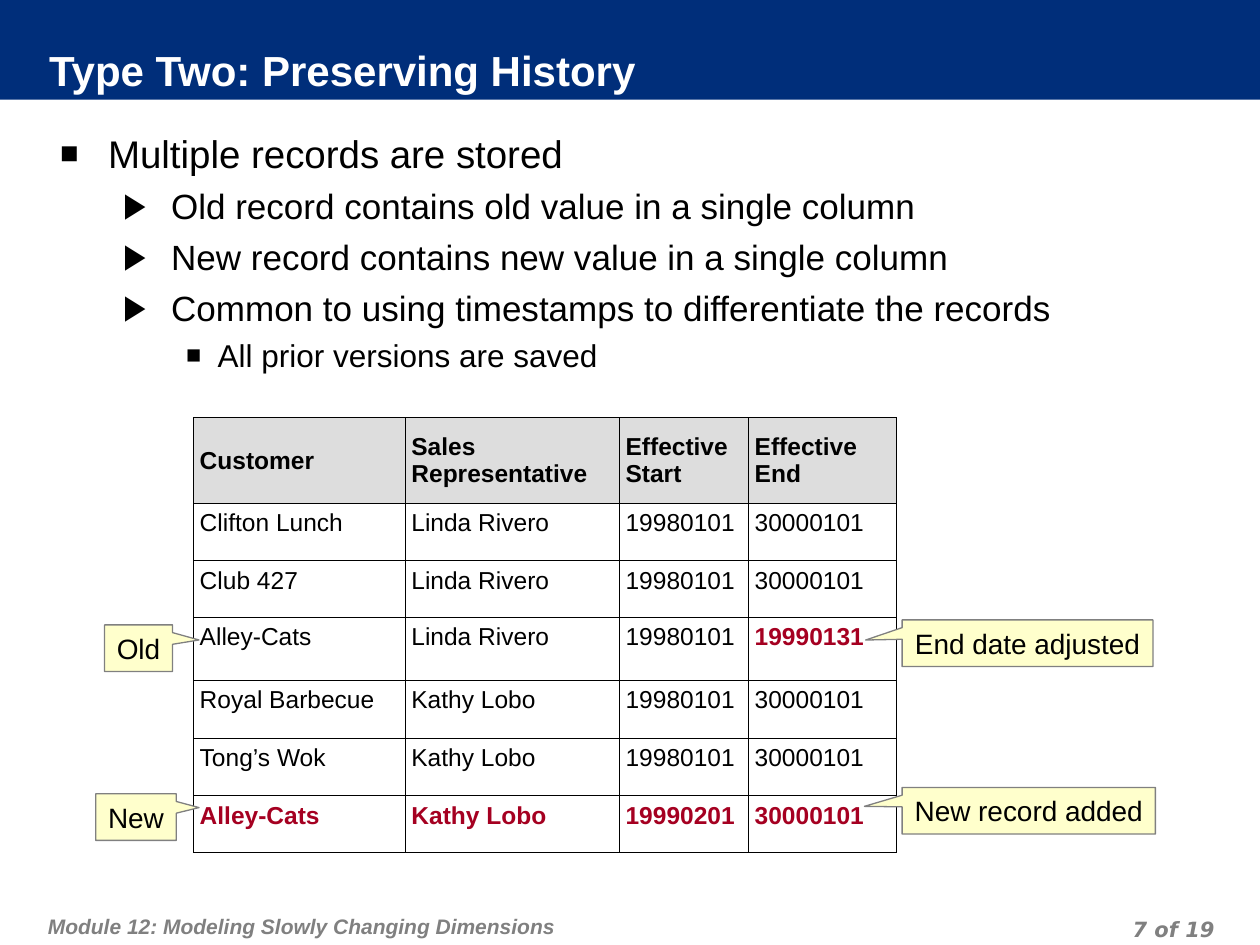
from lxml import etree
from pptx import Presentation
from pptx.dml.color import RGBColor
from pptx.enum.shapes import MSO_SHAPE
from pptx.enum.text import MSO_ANCHOR, MSO_AUTO_SIZE, PP_ALIGN
from pptx.oxml.ns import qn
from pptx.util import Inches, Pt

RECT = MSO_SHAPE.RECTANGLE
CALLOUT = MSO_SHAPE.RECTANGULAR_CALLOUT
TOP, MIDDLE = MSO_ANCHOR.TOP, MSO_ANCHOR.MIDDLE
FIXED, GROW = MSO_AUTO_SIZE.NONE, MSO_AUTO_SIZE.SHAPE_TO_FIT_TEXT
LEFT, CENTER, RIGHT = PP_ALIGN.LEFT, PP_ALIGN.CENTER, PP_ALIGN.RIGHT

COLS, ROWS = 100, 75
WIDTH, HEIGHT = Inches(10), Inches(7.5)
HEX = {
    "navy": "002E7A", "white": "FFFFFF", "black": "000000", "gray": "808080",
    "head": "DDDDDD", "red": "A50021", "note": "FFFFCC",
}
LEVELS = [
    dict(size=22, left=0.38, hang=0.38, before=5.5, mark="■", share=80),
    dict(size=20, left=0.88, hang=0.38, before=5, mark="▶", share=100),
    dict(size=18, left=1.25, hang=0.25, before=4.5, mark="■", share=80),
]
POINTS = [
    (0, "Multiple records are stored"),
    (1, "Old record contains old value in a single column"),
    (1, "New record contains new value in a single column"),
    (1, "Common to using timestamps to differentiate the records"),
    (2, "All prior versions are saved"),
]
RECORDS = [
    ("Customer", "Sales Representative", "Effective Start", "Effective End"),
    ("Clifton Lunch", "Linda Rivero", "19980101", "30000101"),
    ("Club 427", "Linda Rivero", "19980101", "30000101"),
    ("Alley-Cats", "Linda Rivero", "19980101", "19990131"),
    ("Royal Barbecue", "Kathy Lobo", "19980101", "30000101"),
    ("Tong’s Wok", "Kathy Lobo", "19980101", "30000101"),
    ("Alley-Cats", "Kathy Lobo", "19990201", "30000101"),
]
CHANGED = {(3, 3), (6, 0), (6, 1), (6, 2), (6, 3)}
SPANS = [16.8, 17, 10.25, 11.75]
DEPTHS = [6.8, 4.55, 4.5, 5, 4.6, 4.55, 4.5]
NOTES = [
    ("End date adjusted", 71.6, 49.2, 19.9, 68.7, 50.8),
    ("New record added", 71.6, 62.5, 20.1, 68.6, 64),
    ("Old", 8.3, 49.6, 5.4, 15.8, 50.8),
    ("New", 7.6, 63, 6.4, 15.8, 64.1),
]


def across(cols):
    return round(WIDTH * cols / COLS)


def down(rows):
    return round(HEIGHT * rows / ROWS)


def area(x, y, w, h):
    return across(x), down(y), across(w), down(h)


def color(name):
    return RGBColor.from_string(HEX[name])


def paint(item, name):
    item.fill.solid()
    item.fill.fore_color.rgb = color(name)


def write(para, text, size=14, tone="black", bold=False, italic=False,
          face="Arial", align=LEFT, before=0, pitch=None):
    para.alignment = align
    para.space_before = Pt(before)
    if pitch:
        para.line_spacing = Pt(pitch)
    run = para.add_run()
    run.text = text
    font = run.font
    font.name, font.size, font.bold, font.italic = face, Pt(size), bold, italic
    font.color.rgb = color(tone)


def frame(shape, pad, anchor=TOP, wrap=True, fit=FIXED):
    box = shape.text_frame
    box.word_wrap, box.auto_size, box.vertical_anchor = wrap, fit, anchor
    box.margin_left, box.margin_top, box.margin_right, box.margin_bottom = map(Inches, pad)
    return box


def node(parent, tag, **attrs):
    return etree.SubElement(parent, qn(tag), attrs)


def bullet(para, left, hang, mark, share):
    props = para._p.get_or_add_pPr()
    props.set("marL", str(Inches(left)))
    props.set("indent", str(-Inches(hang)))
    node(node(props, "a:buClr"), "a:srgbClr", val=HEX["black"])
    node(props, "a:buSzPct", val=str(share * 1000))
    node(props, "a:buFont", typeface="Arial")
    node(props, "a:buChar", char=mark)


def border(cell):
    props = cell._tc.get_or_add_tcPr()
    for side in ("L", "R", "T", "B"):
        line = node(props, "a:ln" + side, w=str(Pt(0.45)))
        node(node(line, "a:solidFill"), "a:srgbClr", val=HEX["black"])


def header(slide):
    title = slide.shapes.title
    band = slide.shapes.add_shape(RECT, *area(0, 0, COLS, 7.9))
    band.shadow.inherit = False
    paint(band, "navy")
    band.line.fill.background()
    title._element.addprevious(band._element)
    title.left, title.top, title.width, title.height = area(3.9, 3.8, 78.7, 4)
    paint(title, "navy")
    box = frame(title, (0, 0, 0.05, 0.05), MIDDLE)
    write(box.paragraphs[0], "Type Two: Preserving History", size=24, tone="white", bold=True)


def footer(slide, text, spot, top, **style):
    shape = slide.shapes.add_textbox(*area(*spot))
    box = frame(shape, (0.05, top, 0.05, 0.05 if top else 0), fit=GROW)
    write(box.paragraphs[0], text, size=12, tone="gray", bold=True, italic=True,
          before=6, pitch=18, **style)


def body(slide):
    shape = slide.shapes.add_textbox(*area(3.8, 9.3, 93, 61.8))
    box = frame(shape, (0.1, 0.1, 0.1, 0.05))
    for index, (level, text) in enumerate(POINTS):
        para = box.add_paragraph() if index else box.paragraphs[0]
        look = LEVELS[level]
        para.level = level
        write(para, text, size=look["size"], before=look["before"])
        bullet(para, look["left"], look["hang"], look["mark"], look["share"])


def records(slide):
    spot = area(15.35, 33.15, sum(SPANS), sum(DEPTHS))
    table = slide.shapes.add_table(len(RECORDS), len(SPANS), *spot).table
    table.first_row = table.horz_banding = False
    for col, span in zip(table.columns, SPANS):
        col.width = across(span)
    for r, (row, depth) in enumerate(zip(table.rows, DEPTHS)):
        row.height = down(depth)
        for c, cell in enumerate(row.cells):
            border(cell)
            paint(cell, "white" if r else "head")
            cell.vertical_anchor = TOP if r else MIDDLE
            cell.margin_left = cell.margin_top = cell.margin_bottom = Inches(0.05)
            cell.margin_right = Inches(0.02)
            fresh = (r, c) in CHANGED
            write(cell.text_frame.paragraphs[0], RECORDS[r][c], before=3.5,
                  bold=fresh or r == 0, tone="red" if fresh else "black")


def callout(slide, text, x, y, w, tipx, tipy, h=3.7):
    shape = slide.shapes.add_shape(CALLOUT, *area(x, y, w, h))
    shape.shadow.inherit = False
    paint(shape, "note")
    shape.line.color.rgb = color("gray")
    shape.line.width = Pt(0.74)
    shape.adjustments[0] = (tipx - x) / w - 0.5
    shape.adjustments[1] = (tipy - y) / h - 0.5
    box = frame(shape, (0.05, 0.05, 0.05, 0.05), MIDDLE, wrap=False)
    write(box.paragraphs[0], text, size=16, align=CENTER)


def main():
    deck = Presentation()
    deck.slide_width, deck.slide_height = WIDTH, HEIGHT
    slide = deck.slides.add_slide(deck.slide_layouts[5])
    header(slide)
    footer(slide, "Module 12: Modeling Slowly Changing Dimensions", (3.3, 71, 61.8, 4), 0.1)
    footer(slide, "7 of 19", (73.6, 72.2, 23.3, 2.5), 0, face="DejaVu Sans", align=RIGHT)
    body(slide)
    records(slide)
    for note in NOTES:
        callout(slide, *note)
    deck.save("out.pptx")


main()
